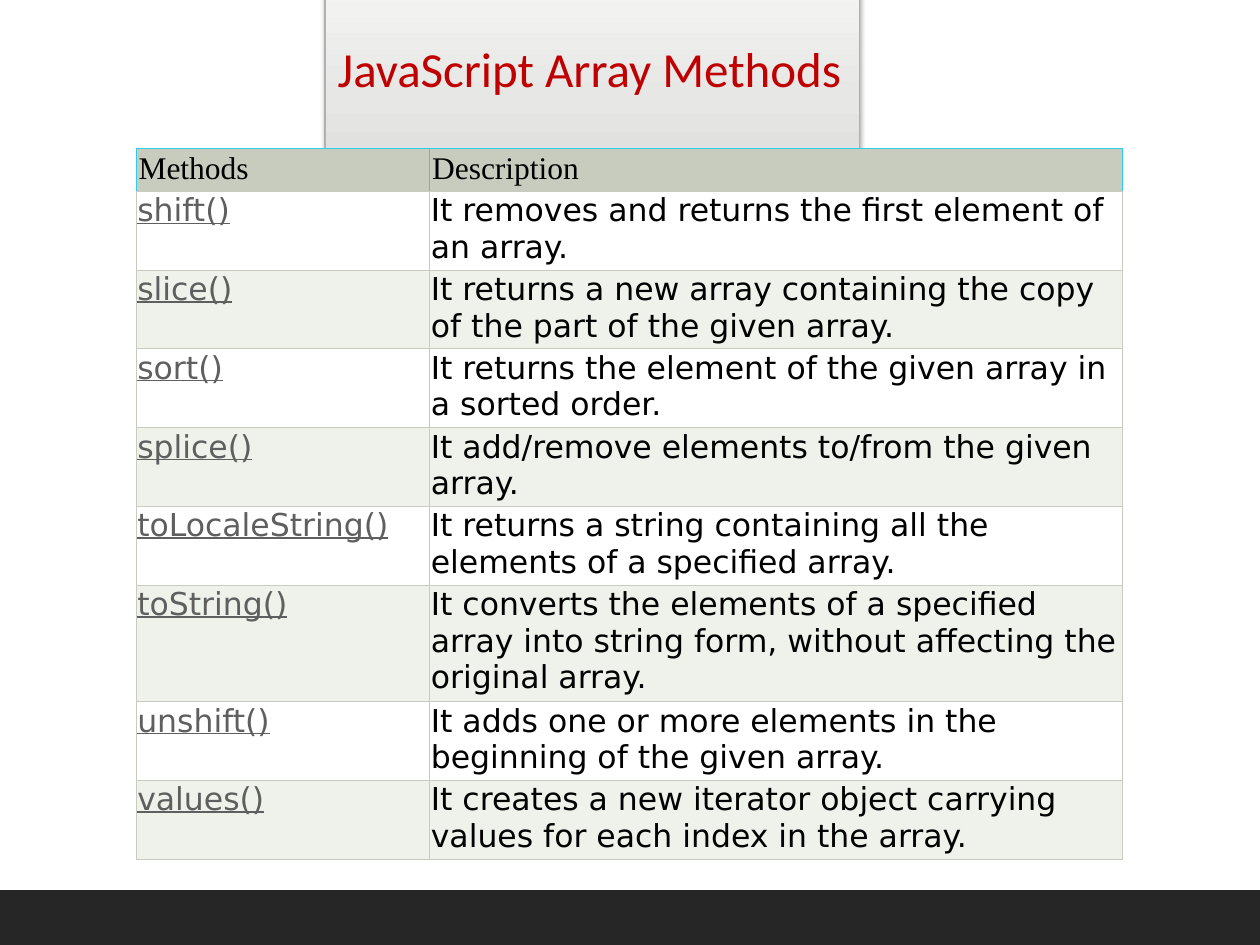
from copy import deepcopy

from lxml import etree
from pptx import Presentation
from pptx.dml.color import RGBColor
from pptx.enum.shapes import MSO_SHAPE
from pptx.enum.text import MSO_ANCHOR, MSO_AUTO_SIZE, PP_ALIGN
from pptx.oxml.ns import qn
from pptx.util import Inches, Pt

RECTANGLE = MSO_SHAPE.RECTANGLE
LEFT = PP_ALIGN.LEFT
MIDDLE = MSO_ANCHOR.MIDDLE
GROW_TO_FIT = MSO_AUTO_SIZE.SHAPE_TO_FIT_TEXT
TITLE_ONLY = 5

BLACK = RGBColor(0x00, 0x00, 0x00)
WHITE = RGBColor(0xFF, 0xFF, 0xFF)
RED = RGBColor(0xC0, 0x00, 0x00)
GRAY = RGBColor(0x5F, 0x5F, 0x5F)
CHARCOAL = RGBColor(0x26, 0x26, 0x26)
SAGE = RGBColor(0xC7, 0xCC, 0xBE)
PALE_SAGE = RGBColor(0xEF, 0xF1, 0xEB)
CYAN = RGBColor(0x30, 0xCA, 0xEA)
TITLE_LINE = RGBColor(0xB0, 0xB0, 0xAF)
TITLE_STOPS = [
    (0, RGBColor(0xDE, 0xDE, 0xDD)),
    (0.35, RGBColor(0xE7, 0xE7, 0xE6)),
    (1, RGBColor(0xF6, 0xF6, 0xF5)),
]

HEADINGS = ("Methods", "Description")
METHODS = [
    ("shift()", "It removes and returns the first element of an array."),
    ("slice()", "It returns a new array containing the copy of the part of the given array."),
    ("sort()", "It returns the element of the given array in a sorted order."),
    ("splice()", "It add/remove elements to/from the given array."),
    ("toLocaleString()", "It returns a string containing all the elements of a specified array."),
    ("toString()", "It converts the elements of a specified array into string form, "
                   "without affecting the original array."),
    ("unshift()", "It adds one or more elements in the beginning of the given array."),
    ("values()", "It creates a new iterator object carrying values for each index in the array."),
]
HEADER_HEIGHT, TWO_LINES, THREE_LINES = 3.4, 6.25, 9.25
ROW_HEIGHTS = [HEADER_HEIGHT] + [
    THREE_LINES if name == "toString()" else TWO_LINES for name, _ in METHODS
]


class SlideBuilder:
    """Draws on one slide; lengths are units of a grid of 100 columns by 75 rows."""

    title_font = "Calibri"
    header_font = "Times New Roman"
    body_font = "DejaVu Sans"
    title_size = Pt(28)
    table_size = Pt(18)
    thin_line = Pt(0.75)

    def __init__(self, presentation):
        self.unit = presentation.slide_width / 100
        self.slide = presentation.slides.add_slide(presentation.slide_layouts[TITLE_ONLY])

    def grid(self, *lengths):
        return [round(length * self.unit) for length in lengths]

    def add_run(self, paragraph, text, font_name, size, color, underline=False):
        run = paragraph.add_run()
        run.text = text
        run.font.name = font_name
        run.font.size = size
        run.font.color.rgb = color
        run.font.underline = underline

    def title(self, text, *place):
        title = self.slide.shapes.title
        title.left, title.top, title.width, title.height = self.grid(*place)
        self.fill_gradient(title, TITLE_STOPS)
        title.line.color.rgb = TITLE_LINE
        title.line.width = self.thin_line
        self.add_shadow(title)
        frame = title.text_frame
        frame.word_wrap = False
        frame.auto_size = GROW_TO_FIT
        frame.vertical_anchor = MIDDLE
        paragraph = frame.paragraphs[0]
        paragraph.alignment = LEFT
        self.add_run(paragraph, text, self.title_font, self.title_size, RED)

    def fill_gradient(self, shape, stops):
        """Fill from bottom to top with three stops."""
        shape.fill.gradient()
        shape.fill.gradient_angle = 90
        stop_list = next(shape._element.spPr.iter(qn("a:gsLst")))
        stop_list.insert(1, deepcopy(stop_list[0]))
        for stop, (position, color) in zip(shape.fill.gradient_stops, stops):
            stop.position = position
            stop.color.rgb = color

    def add_shadow(self, shape):
        shape.shadow.inherit = False
        effects = shape._element.spPr.find(qn("a:effectLst"))
        shadow = etree.SubElement(
            effects, qn("a:outerShdw"), blurRad=str(Pt(3.1)), dist=str(Pt(1.6)),
            dir="5400000", rotWithShape="0")
        color = etree.SubElement(shadow, qn("a:srgbClr"), val=str(BLACK))
        etree.SubElement(color, qn("a:alpha"), val="38000")

    def table(self, left, top, column_widths, row_heights):
        place = self.grid(left, top, sum(column_widths), sum(row_heights))
        table = self.slide.shapes.add_table(
            len(row_heights), len(column_widths), *place).table
        table.first_row = table.horz_banding = False
        for column, width in zip(table.columns, self.grid(*column_widths)):
            column.width = width
        for row, height in zip(table.rows, self.grid(*row_heights)):
            row.height = height
        for cell, heading in zip(table.rows[0].cells, HEADINGS):
            self.cell(cell, heading, SAGE, self.header_font, BLACK, 0.2, edge=CYAN)
        for index, (name, description) in enumerate(METHODS, start=1):
            fill = WHITE if index % 2 else PALE_SAGE
            name_cell, description_cell = table.rows[index].cells
            self.cell(name_cell, name, fill, self.body_font, GRAY, 0.1, underline=True)
            self.cell(description_cell, description, fill, self.body_font, BLACK, 0.1)

    def cell(self, cell, text, fill, font_name, color, margin, underline=False, edge=SAGE):
        inset, = self.grid(margin)
        cell.margin_left = cell.margin_right = inset
        cell.margin_top = cell.margin_bottom = inset
        cell.fill.solid()
        cell.fill.fore_color.rgb = fill
        self.cell_borders(cell, {"lnL": edge, "lnR": edge, "lnT": edge, "lnB": SAGE})
        self.add_run(cell.text_frame.paragraphs[0], text, font_name,
                     self.table_size, color, underline)

    def cell_borders(self, cell, colors):
        properties = cell._tc.get_or_add_tcPr()
        for index, (side, color) in enumerate(colors.items()):
            border = etree.Element(qn(f"a:{side}"), w=str(self.thin_line))
            solid = etree.SubElement(border, qn("a:solidFill"))
            etree.SubElement(solid, qn("a:srgbClr"), val=str(color))
            properties.insert(index, border)

    def bar(self, color, *place):
        bar = self.slide.shapes.add_shape(RECTANGLE, *self.grid(*place))
        bar.shadow.inherit = False
        bar.fill.solid()
        bar.fill.fore_color.rgb = color
        bar.line.color.rgb = color
        bar.line.width = Pt(2)


def main():
    presentation = Presentation()
    presentation.slide_width = Inches(10)
    presentation.slide_height = Inches(7.5)
    builder = SlideBuilder(presentation)
    builder.title("JavaScript Array Methods", 25.8, 2.5, 42.4, 5.7)
    builder.table(10.8, 11.8, (23.3, 55), ROW_HEIGHTS)
    builder.bar(CHARCOAL, 0, 70.8, 100, 4.2)
    presentation.save("out.pptx")


if __name__ == "__main__":
    main()
